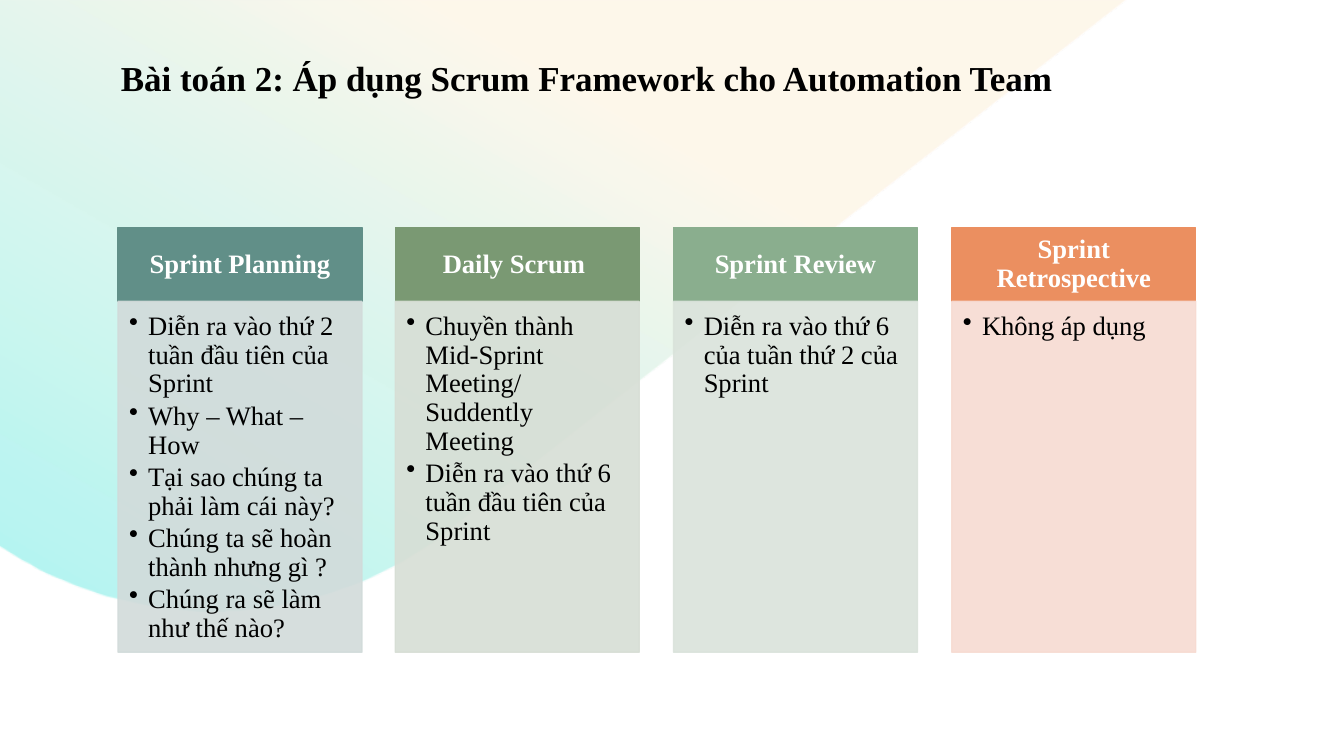
from lxml import etree
from pptx import Presentation, util as u
from pptx.dml.color import RGBColor
from pptx.enum import shapes, text
from pptx.oxml.ns import qn

PX = 9144  # 100 px to the inch
FONT = "Times New Roman"
BLACK, WHITE = "000000", "FFFFFF"

CARD_LEFT, CARD_WIDTH, LAST_CARD_OFFSET = 117, 242, 827
HEADER_TOP, HEADER_HEIGHT, BODY_HEIGHT = 226, 73, 348

TITLE = "Bài toán 2: Áp dụng Scrum Framework cho Automation Team"
EVENTS = [
    ("Sprint Planning", "618F88", "D2DBDA", [
        "Diễn ra vào thứ 2 tuần đầu tiên của Sprint",
        "Why – What – How ",
        "Tại sao chúng ta phải làm cái này?",
        "Chúng ta sẽ hoàn thành nhưng gì ?",
        "Chúng ra sẽ làm như thế nào?",
    ]),
    ("Daily Scrum ", "7A9973", "D7DED5", [
        "Chuyền thành Mid-Sprint Meeting/ Suddently Meeting",
        "Diễn ra vào thứ 6 tuần đầu tiên của Sprint",
    ]),
    ("Sprint Review", "8AAE8E", "DAE3DB", [
        "Diễn ra vào thứ 6 của tuần thứ 2 của Sprint",
    ]),
    ("Sprint Retrospective", "EB8F60", "F7DBD2", ["Không áp dụng"]),
]


def px(length):
    return u.Emu(length * PX)


def rgb(value):
    return RGBColor.from_string(value)


def set_opacity(element, percents):
    """Give each colour below the element its opacity, in document order."""
    for color, percent in zip(element.iter(qn("a:srgbClr")), percents):
        etree.SubElement(color, qn("a:alpha"), val=str(percent * 1000))


def add_bullet(paragraph, indent):
    properties = paragraph._p.get_or_add_pPr()
    properties.set("marL", str(px(indent)))
    properties.set("indent", str(-px(indent)))
    etree.SubElement(properties, qn("a:buChar"), char="•")


def write(shape, lines, size=19, color=BLACK, bold=False, align=text.PP_ALIGN.LEFT,
          anchor=text.MSO_ANCHOR.TOP, insets=(10, 5, 10, 5), space_after=0, bullet_indent=0):
    frame = shape.text_frame
    frame.word_wrap = True
    frame.vertical_anchor = anchor
    (frame.margin_left, frame.margin_top,
     frame.margin_right, frame.margin_bottom) = map(px, insets)
    for index, line in enumerate(lines):
        paragraph = frame.add_paragraph() if index else frame.paragraphs[0]
        paragraph.alignment = align
        paragraph.line_spacing = 0.9
        paragraph.space_after = u.Pt(space_after)
        if bullet_indent:
            add_bullet(paragraph, bullet_indent)
        run = paragraph.add_run()
        run.text = line
        run.font.name = FONT
        run.font.size = u.Pt(size)
        run.font.bold = bold
        run.font.color.rgb = rgb(color)


def add_panel(slide, left, top, width, height, color, opacity=100):
    panel = slide.shapes.add_shape(
        shapes.MSO_SHAPE.RECTANGLE, *map(px, (left, top, width, height)))
    panel.shadow.inherit = False
    panel.fill.solid()
    panel.fill.fore_color.rgb = rgb(color)
    panel.line.color.rgb = rgb(color)
    panel.line.width = u.Pt(1)
    if opacity < 100:
        set_opacity(panel._element.spPr, (opacity, opacity))
    return panel


def curve(start, control_1, control_2, end, steps=24):
    """Return points along a cubic Bézier curve, without its start."""
    points = []
    for step in range(1, steps + 1):
        t = step / steps
        weights = ((1 - t) ** 3, 3 * t * (1 - t) ** 2, 3 * t ** 2 * (1 - t), t ** 3)
        points.append(tuple(
            sum(weight * value for weight, value in zip(weights, axis))
            for axis in zip(start, control_1, control_2, end)))
    return points


def add_backdrop(slide):
    bottom, right_bend, near_bottom = (207, 607), (431, 538), (229, 606)
    outline = [
        *curve(bottom, (133, 605), (61, 583), (-1, 541)),
        (-2, 540), (-2, 0), (1117, 0), (438, 532), right_bend,
        *curve(right_bend, (369, 581), (299, 603), near_bottom),
        *curve(near_bottom, (221, 607), (214, 607), bottom),
    ]
    builder = slide.shapes.build_freeform(*bottom, scale=PX)
    builder.add_line_segments(outline, close=True)
    backdrop = builder.convert_to_shape()
    backdrop.shadow.inherit = False
    backdrop.line.fill.background()
    backdrop.fill.gradient()
    backdrop.fill.gradient_angle = 240
    stops = ((0.32, "FEEFD9"), (1, "58EAE3"))
    for stop, (position, color) in zip(backdrop.fill.gradient_stops, stops):
        stop.position = position
        stop.color.rgb = rgb(color)
    set_opacity(backdrop._element.spPr, (52, 47))


def add_event_card(slide, left, name, header_color, body_color, notes):
    header = add_panel(slide, left, HEADER_TOP, CARD_WIDTH, HEADER_HEIGHT, header_color)
    write(header, [name], color=WHITE, bold=True, align=text.PP_ALIGN.CENTER,
          anchor=text.MSO_ANCHOR.MIDDLE, insets=(15, 8, 15, 8))
    body = add_panel(slide, left, HEADER_TOP + HEADER_HEIGHT, CARD_WIDTH, BODY_HEIGHT,
                     body_color, opacity=90)
    write(body, notes, insets=(11, 11, 15, 17), space_after=2.6, bullet_indent=19)


def main():
    deck = Presentation()
    deck.slide_width, deck.slide_height = px(1333), px(750)
    slide = deck.slides.add_slide(deck.slide_layouts[6])
    add_backdrop(slide)
    title = slide.shapes.add_textbox(*map(px, (110, 56, 1075, 116)))
    write(title, [TITLE], size=25, bold=True)
    for index, event in enumerate(EVENTS):
        left = CARD_LEFT + LAST_CARD_OFFSET * index // (len(EVENTS) - 1)
        add_event_card(slide, left, *event)
    deck.save("out.pptx")


if __name__ == "__main__":
    main()
